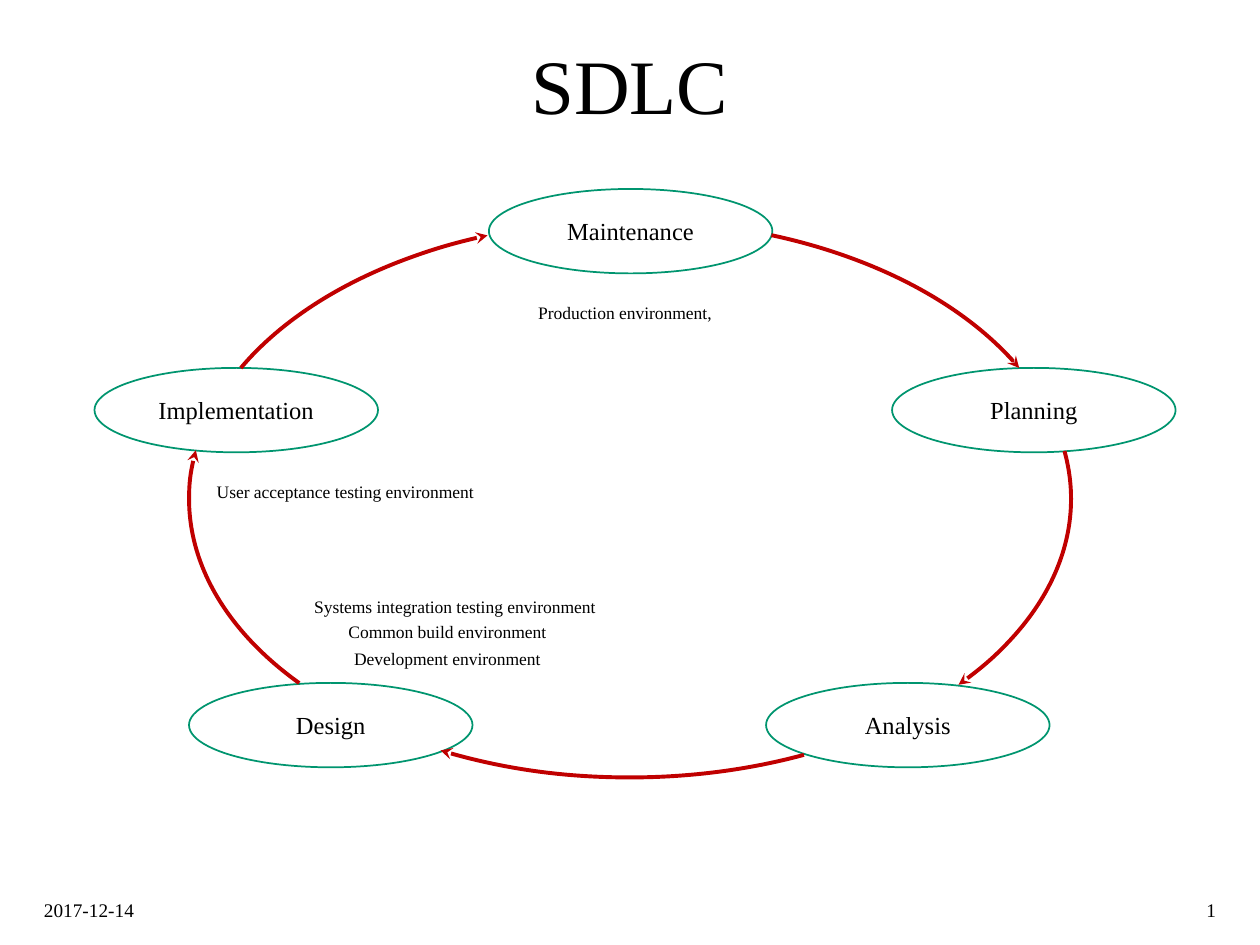
from lxml import etree
from pptx import Presentation
from pptx.dml.color import RGBColor
from pptx.enum.shapes import MSO_SHAPE as Shape
from pptx.enum.text import MSO_ANCHOR as Anchor, MSO_AUTO_SIZE as AutoSize, PP_ALIGN as Align
from pptx.oxml.ns import qn
from pptx.util import Inches, Pt

TEXT, GREEN, RED, WHITE = "000000", "00956F", "C00000", "FFFFFF"


def color(hex_string):
    return RGBColor.from_string(hex_string)


def write(shape, text, size, align=Align.CENTER, anchor=Anchor.MIDDLE):
    frame = shape.text_frame
    frame.word_wrap = True
    frame.vertical_anchor = anchor
    frame.text = text
    para = frame.paragraphs[0]
    para.alignment = align
    font = para.runs[0].font
    font.name, font.size = "Times New Roman", Pt(size)
    font.color.rgb = color(TEXT)


deck = Presentation()
deck.slide_width, deck.slide_height = Inches(10), Inches(7.5)
page = deck.slides.add_slide(deck.slide_layouts[6])
shapes = page.shapes

title = shapes.add_textbox(Inches(0.25), Inches(0.25), Inches(9.5), Inches(0.83))
write(title, "SDLC", 44)

for left, text, align in [(0.25, "2017-12-14", Align.LEFT), (7.67, "1", Align.RIGHT)]:
    footer = shapes.add_textbox(Inches(left), Inches(7.08), Inches(2.08), Inches(0.25))
    write(footer, text, 11, align, Anchor.TOP)

phases = [
    ("Implementation", 0.75, 2.92),
    ("Planning", 7.08, 2.92),
    ("Analysis", 6.08, 5.42),
    ("Design", 1.5, 5.42),
    ("Maintenance", 3.88, 1.5),
]
for name, left, top in phases:
    phase = shapes.add_shape(Shape.OVAL, Inches(left), Inches(top), Inches(2.25), Inches(0.67))
    phase.shadow.inherit = False
    phase.fill.solid()
    phase.fill.fore_color.rgb = color(WHITE)
    phase.line.color.rgb = color(GREEN)
    phase.line.width = Pt(1)
    write(phase, name, 14)

# Start and end of each arrow on the shared ellipse, in degrees clockwise from the right
arrow_angles = [(-6.3, 29.5), (-61.8, -18.6), (55.8, 127), (150.9, 186.4), (198.6, 241.6)]
rotation = 90
for angles in arrow_angles:
    arrow = shapes.add_shape(Shape.ARC, Inches(2.79), Inches(0.46), Inches(4.42), Inches(7))
    arrow.rotation = rotation
    for index, angle in enumerate(angles):
        # Angles are stored in 1/60000 degree, adjustments in units of 100000
        arrow.adjustments[index] = (angle - rotation) % 360 * 0.6
    arrow.shadow.inherit = False
    arrow.fill.background()
    arrow.line.color.rgb = color(RED)
    arrow.line.width = Pt(2.25)
    etree.SubElement(arrow.line._get_or_add_ln(), qn("a:tailEnd"), type="stealth")

environments = [
    ("Production environment,", 3.71, 2.35),
    ("User acceptance testing environment", 1.49, 3.77),
    ("Common build environment", 2.3, 4.88),
    ("Systems integration testing environment", 2.36, 4.68),
    ("Development environment", 2.3, 5.09),
]
for name, left, top in environments:
    label = shapes.add_textbox(Inches(left), Inches(top), Inches(2.5), Inches(0.27))
    write(label, name, 10, anchor=Anchor.TOP)
    label.text_frame.auto_size = AutoSize.SHAPE_TO_FIT_TEXT

deck.save("out.pptx")
